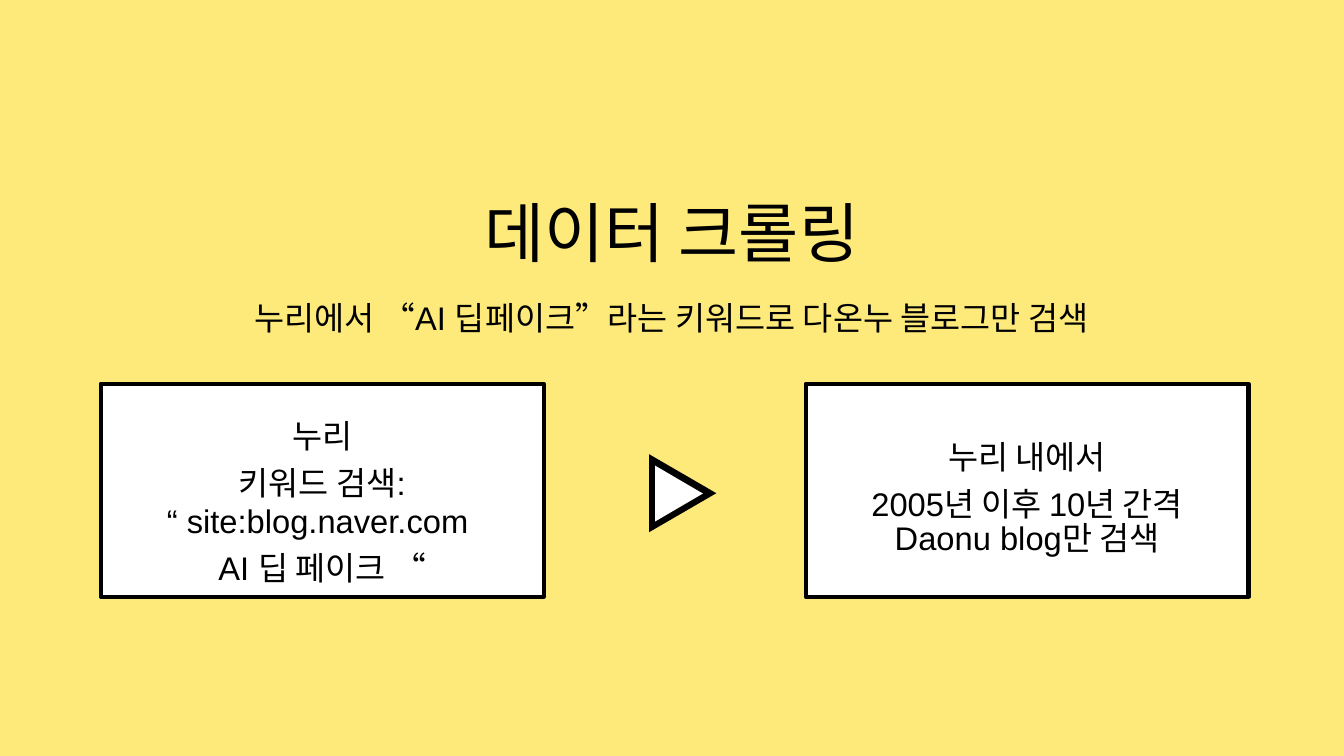
from dataclasses import dataclass

from pptx import Presentation
from pptx.dml.color import RGBColor
from pptx.enum.shapes import MSO_SHAPE as Shape
from pptx.enum.text import MSO_AUTO_SIZE as AutoSize, PP_ALIGN as Align
from pptx.util import Inches, Pt


@dataclass(frozen=True)
class Theme:
    background: RGBColor = RGBColor(0xFE, 0xEA, 0x7B)
    ink: RGBColor = RGBColor(0, 0, 0)
    paper: RGBColor = RGBColor(0xFF, 0xFF, 0xFF)
    font: str = "Arial"
    title: Pt = Pt(70)
    body: Pt = Pt(35)
    border: Pt = Pt(4.5)


THEME = Theme()
CARD_TOP, CARD_W, CARD_H, CARD_PAD = 5.71, 6.59, 3.17, 0.25


def add_text(s, box, lines, size=THEME.body, spacing=1.2):
    tf = s.shapes.add_textbox(*map(Inches, box)).text_frame
    tf.margin_left = tf.margin_right = tf.margin_top = tf.margin_bottom = 0
    tf.word_wrap = True
    tf.auto_size = AutoSize.SHAPE_TO_FIT_TEXT
    for i, line in enumerate(lines):
        p = tf.add_paragraph() if i else tf.paragraphs[0]
        p.text = line
        p.alignment = Align.CENTER
        p.line_spacing = spacing
        p.font.name = THEME.font
        p.font.size = size
        p.font.color.rgb = THEME.ink


def add_filled(s, kind, box, color):
    sp = s.shapes.add_shape(kind, *map(Inches, box))
    sp.shadow.inherit = False
    sp.fill.solid()
    sp.fill.fore_color.rgb = color
    sp.line.fill.background()
    return sp


def add_card(s, left, blocks):
    card = add_filled(s, Shape.RECTANGLE, (left, CARD_TOP, CARD_W, CARD_H), THEME.paper)
    card.line.color.rgb = THEME.ink
    card.line.width = THEME.border
    for top, lines in blocks:
        box = (left + CARD_PAD, top, CARD_W - 2 * CARD_PAD, 0.59 * len(lines))
        add_text(s, box, lines)


def add_play_marker(s):
    for box, color in (
        ((9.58, 6.84, 1.16, 1), THEME.ink),
        ((9.69, 6.99, 0.83, 0.71), THEME.paper),
    ):
        add_filled(s, Shape.ISOSCELES_TRIANGLE, box, color).rotation = 90


def main():
    prs = Presentation()
    prs.slide_width, prs.slide_height = Inches(20), Inches(11.25)
    s = prs.slides.add_slide(prs.slide_layouts[6])
    s.background.fill.solid()
    s.background.fill.fore_color.rgb = THEME.background

    add_text(s, (2.76, 2.75, 14.47, 1.08), ["데이터 크롤링"], THEME.title, 1.1)
    add_text(s, (2.76, 4.31, 14.47, 0.59),
             ["누리에서 “AI 딥페이크”라는 키워드로 다온누 블로그만 검색"])
    add_play_marker(s)
    add_card(s, 1.5, [
        (6.07, ["누리", "키워드 검색:"]),
        (7.33, ["“ site:blog.naver.com ", "AI 딥 페이크 “"]),
    ])
    add_card(s, 11.99, [
        (6.38, ["누리 내에서", "2005년 이후 10년 간격"]),
        (7.59, ["Daonu blog만 검색"]),
    ])
    prs.save("out.pptx")


if __name__ == "__main__":
    main()
